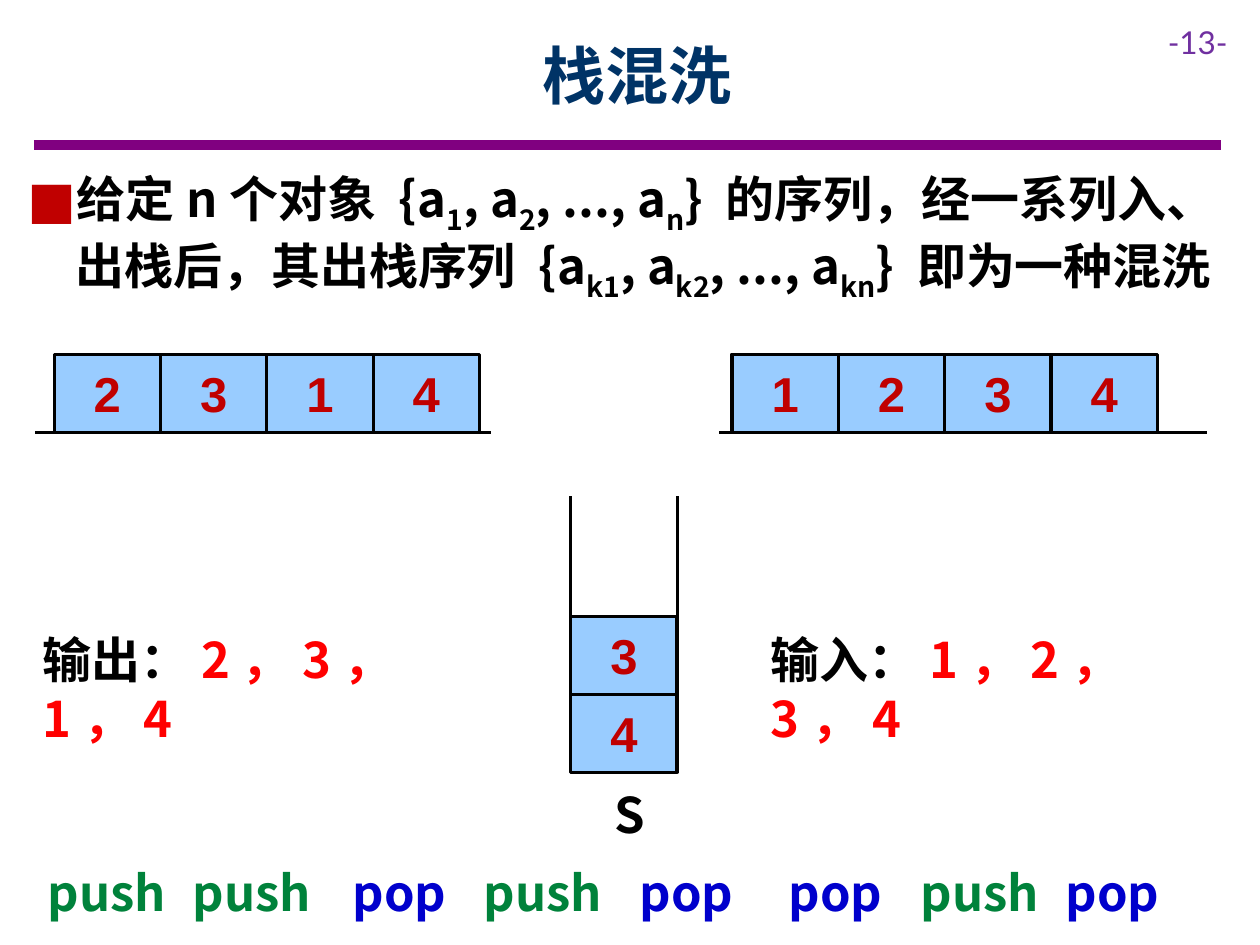
from lxml import etree
from pptx import Presentation
from pptx.dml.color import RGBColor
from pptx.enum.shapes import MSO_CONNECTOR, MSO_SHAPE
from pptx.enum.text import MSO_ANCHOR, MSO_AUTO_SIZE, PP_ALIGN
from pptx.oxml.ns import qn
from pptx.util import Inches, Pt

COLORS = {
    "title": "003366", "rule": "800080", "number": "7030A0", "text": "000000",
    "cell": "99CCFF", "digit": "C00000", "values": "FF0000",
    "push": "00823B", "pop": "0000CC",
}
CJK = "Noto Sans CJK SC"
CELL_WIDTH, CELL_HEIGHT = 0.844, 0.62


def color(name):
    return RGBColor.from_string(COLORS[name])


def place(shape, left, top, width, height):
    shape.left, shape.top = Inches(left), Inches(top)
    shape.width, shape.height = Inches(width), Inches(height)


def add_run(paragraph, text, tint="text", size=28, font=CJK, bold=True, baseline=0):
    run = paragraph.add_run()
    run.text = text
    run.font.size, run.font.bold, run.font.name = Pt(size), bold, font
    run.font.color.rgb = color(tint)
    properties = run.font._element
    etree.SubElement(properties, qn("a:ea")).set("typeface", font)
    if baseline:
        properties.set("baseline", str(baseline * 1000))


def add_line(slide, start, end, tint="text", width=1.75):
    line = slide.shapes.add_connector(
        MSO_CONNECTOR.STRAIGHT, *(Inches(value) for value in start + end))
    line.line.color.rgb, line.line.width = color(tint), Pt(width)
    etree.SubElement(line._element.spPr, qn("a:effectLst"))


def add_label(slide, box, runs, **style):
    frame = slide.shapes.add_textbox(*(Inches(value) for value in box)).text_frame
    frame.word_wrap = True
    paragraph = frame.paragraphs[0]
    for text, tint in runs:
        add_run(paragraph, text, tint, **style)


def add_cell(slide, left, top, digit):
    cell = slide.shapes.add_shape(
        MSO_SHAPE.RECTANGLE, Inches(left), Inches(top),
        Inches(CELL_WIDTH), Inches(CELL_HEIGHT))
    cell.shadow.inherit = False
    cell.fill.solid()
    cell.fill.fore_color.rgb = color("cell")
    cell.line.color.rgb, cell.line.width = color("text"), Pt(1.75)
    frame = cell.text_frame
    frame.vertical_anchor = MSO_ANCHOR.MIDDLE
    frame.margin_left = frame.margin_right = Inches(0.1)
    frame.margin_top = frame.margin_bottom = Inches(0.1)
    frame.paragraphs[0].alignment = PP_ALIGN.CENTER
    add_run(frame.paragraphs[0], digit, "digit", font="Arial")


def add_header(slide, left, top, width):
    add_line(slide, (left, top + 1.06), (left + width, top + 1.06), "rule", 6)
    add_label(slide, (left + 8.9, top + 0.04, 0.83, 0.4), [("-13-", "number")],
              size=18, font="Lato", bold=False)
    title = slide.shapes.title
    place(title, left + 0.63, top, 8.31, 1)
    frame = title.text_frame
    frame.auto_size = MSO_AUTO_SIZE.NONE
    frame.vertical_anchor = MSO_ANCHOR.MIDDLE
    frame.paragraphs[0].alignment = PP_ALIGN.CENTER
    add_run(frame.paragraphs[0], "栈混洗", "title", size=36)


def add_definition(slide, left, top, width, height):
    body = slide.placeholders[1]
    place(body, left, top, width, height)
    frame = body.text_frame
    frame.auto_size = MSO_AUTO_SIZE.NONE
    frame.vertical_anchor = MSO_ANCHOR.TOP
    paragraph = frame.paragraphs[0]
    paragraph.space_before, paragraph.space_after = Pt(0), Pt(6)
    properties = paragraph._p.get_or_add_pPr()
    properties.set("marL", str(Inches(0.38)))
    properties.set("indent", str(Inches(-0.38)))
    bullet_color = etree.SubElement(properties, qn("a:buClr"))
    etree.SubElement(bullet_color, qn("a:srgbClr")).set("val", COLORS["digit"])
    etree.SubElement(properties, qn("a:buFont")).set("typeface", CJK)
    etree.SubElement(properties, qn("a:buChar")).set("char", "■")
    # Plain text and subscripts alternate
    parts = ["给定n个对象 {a", "1", ", a", "2", ", ..., a", "n",
             "} 的序列，经一系列入、出栈后，其出栈序列 {a", "k1", ", a", "k2",
             ", ..., a", "kn", "} 即为一种混洗"]
    for index, text in enumerate(parts):
        add_run(paragraph, text, baseline=-25 if index % 2 else 0)


def add_queue(slide, left, top, width, cell_offset, digits):
    base = top + CELL_HEIGHT
    add_line(slide, (left, base), (left + width, base))
    for index, digit in enumerate(digits):
        add_cell(slide, left + cell_offset + index * CELL_WIDTH, top, digit)


def add_stack(slide, left, top, height, digits):
    right, bottom = left + CELL_WIDTH, top + height
    for x in (left, right):
        add_line(slide, (x, top), (x, bottom))
    add_line(slide, (left, bottom), (right, bottom))
    for index, digit in enumerate(reversed(digits), start=1):
        add_cell(slide, left, bottom - index * CELL_HEIGHT, digit)
    add_label(slide, (left + 0.25, bottom + 0.05, 0.55, 0.57), [("S", "text")])


def add_operations(slide, top, operations):
    for left, name in operations:
        add_label(slide, (left, top, 1.2, 0.57), [(name, name)])


def main():
    presentation = Presentation()
    presentation.slide_width, presentation.slide_height = Inches(10), Inches(7.5)
    slide = presentation.slides.add_slide(presentation.slide_layouts[1])

    add_header(slide, 0.27, 0.09, 9.42)
    add_definition(slide, 0.12, 1.29, 9.6, 1.04)

    # Output on the left, input on the right, the stack between them
    add_queue(slide, 0.28, 2.81, 3.62, 0.15, "2314")
    add_queue(slide, 5.71, 2.81, 3.87, 0.1, "1234")
    add_stack(slide, 4.53, 3.94, 2.19, "34")
    for left, name, values in ((0.24, "输出：", "2，3，1，4"),
                               (6.02, "输入：", "1，2，3，4")):
        add_label(slide, (left, 4.95, 3.69, 0.57),
                  [(name, "text"), (values, "values")])

    # Sequence of stack operations
    add_operations(slide, 6.8, [
        (0.28, "push"), (1.43, "push"), (2.7, "pop"), (3.74, "push"),
        (4.98, "pop"), (6.16, "pop"), (7.21, "push"), (8.36, "pop")])

    presentation.save("out.pptx")


if __name__ == "__main__":
    main()
